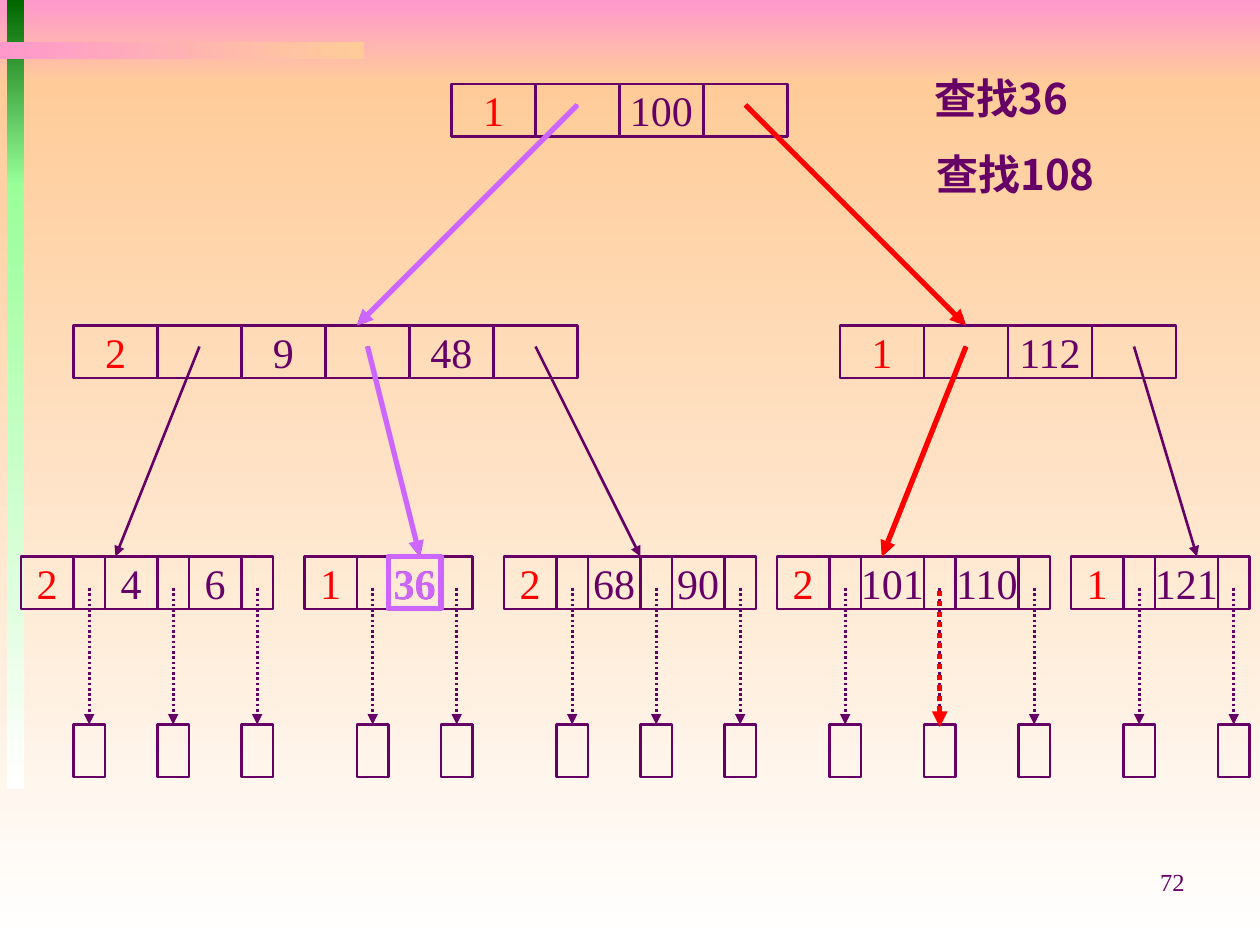
from lxml import etree
from pptx import Presentation
from pptx.dml.color import RGBColor
from pptx.enum.dml import MSO_LINE
from pptx.enum.shapes import MSO_CONNECTOR, MSO_SHAPE
from pptx.enum.text import MSO_ANCHOR, PP_ALIGN
from pptx.oxml.ns import qn
from pptx.util import Pt

RECT, STRAIGHT = MSO_SHAPE.RECTANGLE, MSO_CONNECTOR.STRAIGHT
DOTS, MIDDLE = MSO_LINE.ROUND_DOT, MSO_ANCHOR.MIDDLE
LEFT, CENTER, RIGHT = PP_ALIGN.LEFT, PP_ALIGN.CENTER, PP_ALIGN.RIGHT

COLORS = {
    "ink": "660066", "red": "FF0000", "violet": "CC66FF", "pink": "FF99CC",
    "peach": "FFCC99", "white": "FFFFFF", "green": "006600", "mint": "99FF99",
}
SERIF, SANS = "Times New Roman", "Noto Sans CJK SC"
DOWN, ACROSS = 270, 0
CELL_H = 30
THIN, THICK = 1.5, 3

ROOT = (258, 48, "1", ["100"])
BRANCHES = [(42, 186, "2", ["9", "48"]), (480, 186, "1", ["112"])]
# x, count, keys, key cell width
LEAVES = [
    (12, "2", ["4", "6"], 30),
    (174, "1", ["36"], 30),
    (288, "2", ["68", "90"], 30),
    (444, "2", ["101", "110"], 36),
    (612, "1", ["121"], 36),
]
LEAF_Y, DATA_Y = 318, 414
ROOT_TARGETS = [204, 552]
BRANCH_TARGETS = [66, 240, 366, 504, 684]


def rgb(name):
    return RGBColor.from_string(COLORS[name])


def write(sp, text, align, size, color, face=SERIF, bold=False):
    p = sp.text_frame.paragraphs[0]
    p.alignment = align
    r = p.add_run()
    r.text = text
    for name, value in {"size": Pt(size), "name": face, "bold": bold}.items():
        setattr(r.font, name, value)
    r.font.color.rgb = rgb(color)
    etree.SubElement(r.font._element, qn("a:ea")).set("typeface", face)


def add_gradient(s, x, y, w, h, colors, angle):
    sp = s.shapes.add_shape(RECT, Pt(x), Pt(y), Pt(w), Pt(h))
    sp.shadow.inherit = False
    sp.line.fill.background()
    sp.fill.gradient()
    sp.fill.gradient_angle = angle
    for stop, color in zip(sp.fill.gradient_stops, colors):
        stop.color.rgb = rgb(color)


def add_cell(s, x, y, w, text="", color="ink", line="ink", weight=THIN, bold=False):
    sp = s.shapes.add_shape(RECT, Pt(x), Pt(y), Pt(w), Pt(CELL_H))
    sp.shadow.inherit = False
    sp.fill.background()
    sp.line.color.rgb = rgb(line)
    sp.line.width = Pt(weight)
    if text:
        sp.text_frame.word_wrap = False
        sp.text_frame.vertical_anchor = MIDDLE
        write(sp, text, CENTER, 24, color, bold=bold)


def add_arrow(s, start, end, color="ink", weight=THIN, dash=None):
    c = s.shapes.add_connector(STRAIGHT, *(Pt(v) for v in (*start, *end)))
    c.line.color.rgb = rgb(color)
    c.line.width = Pt(weight)
    if dash:
        c.line.dash_style = dash
    etree.SubElement(c.line._get_or_add_ln(), qn("a:tailEnd")).set("type", "triangle")
    etree.SubElement(c._element.spPr, qn("a:effectLst"))


def add_label(s, x, y, w, h, text, align, size, **font):
    sp = s.shapes.add_textbox(Pt(x), Pt(y), Pt(w), Pt(h))
    sp.text_frame.word_wrap = True
    write(sp, text, align, size, "ink", **font)


def add_node(s, x, y, count, keys, count_w=48, key_w=48, pointer_w=48):
    """Draw count, pointer, key, pointer, ... and return the pointer centres."""
    add_cell(s, x, y, count_w, count, "red")
    x += count_w
    centres = []
    for key in [*keys, None]:
        add_cell(s, x, y, pointer_w)
        centres.append(x + pointer_w / 2)
        x += pointer_w
        if key:
            add_cell(s, x, y, key_w, key)
            x += key_w
    return centres


def add_background(s, w, h):
    add_gradient(s, 0, 0, w, 48, ("pink", "peach"), DOWN)
    add_gradient(s, 0, 48, w, h - 48, ("peach", "white"), DOWN)
    add_gradient(s, 4, 0, 10, 106, ("green", "mint"), DOWN)
    add_gradient(s, 4, 105, 10, 346, ("mint", "white"), DOWN)
    add_gradient(s, 0, 24, 208, 10, ("pink", "peach"), ACROSS)


def add_tree(s):
    """Draw all nodes and links; return the links leaving the inner nodes."""
    root_y, branch_y = ROOT[1], BRANCHES[0][1]
    root_xs = add_node(s, *ROOT)
    branch_xs = [x for branch in BRANCHES for x in add_node(s, *branch)]
    links = [((x, root_y + 12), (to, branch_y))
             for x, to in zip(root_xs, ROOT_TARGETS)]
    links += [((x, branch_y + 12), (to, LEAF_Y))
              for x, to in zip(branch_xs, BRANCH_TARGETS)]
    for link in links:
        add_arrow(s, *link)
    for x, count, keys, key_w in LEAVES:
        for centre in add_node(s, x, LEAF_Y, count, keys, 30, key_w, 18):
            add_cell(s, centre - 9, DATA_Y, 18)
            add_arrow(s, (centre, LEAF_Y + 18), (centre, DATA_Y), dash=DOTS)
    return links


def add_search_paths(s, links):
    to_left, to_right, _, to_36, _, to_101, _ = links
    for link in (to_36, to_left):
        add_arrow(s, *link, "violet", THICK)
    add_cell(s, 222, LEAF_Y, 30, "36", "violet", "violet", THICK, bold=True)
    for link in (to_right, to_101):
        add_arrow(s, *link, "red", THICK)
    add_arrow(s, (537, LEAF_Y + 19.5), (537, DATA_Y + 1.5), "red", THICK, DOTS)


def main():
    prs = Presentation()
    prs.slide_width, prs.slide_height = Pt(720), Pt(540)
    s = prs.slides.add_slide(prs.slide_layouts[6])
    add_background(s, 720, 540)
    add_label(s, 527, 38, 120, 36, "查找36", LEFT, 24, face=SANS, bold=True)
    add_label(s, 528, 81.5, 132, 36, "查找108", LEFT, 24, face=SANS, bold=True)
    add_search_paths(s, add_tree(s))
    add_label(s, 516, 492, 168, 37, "72", RIGHT, 14)
    prs.save("out.pptx")


if __name__ == "__main__":
    main()
